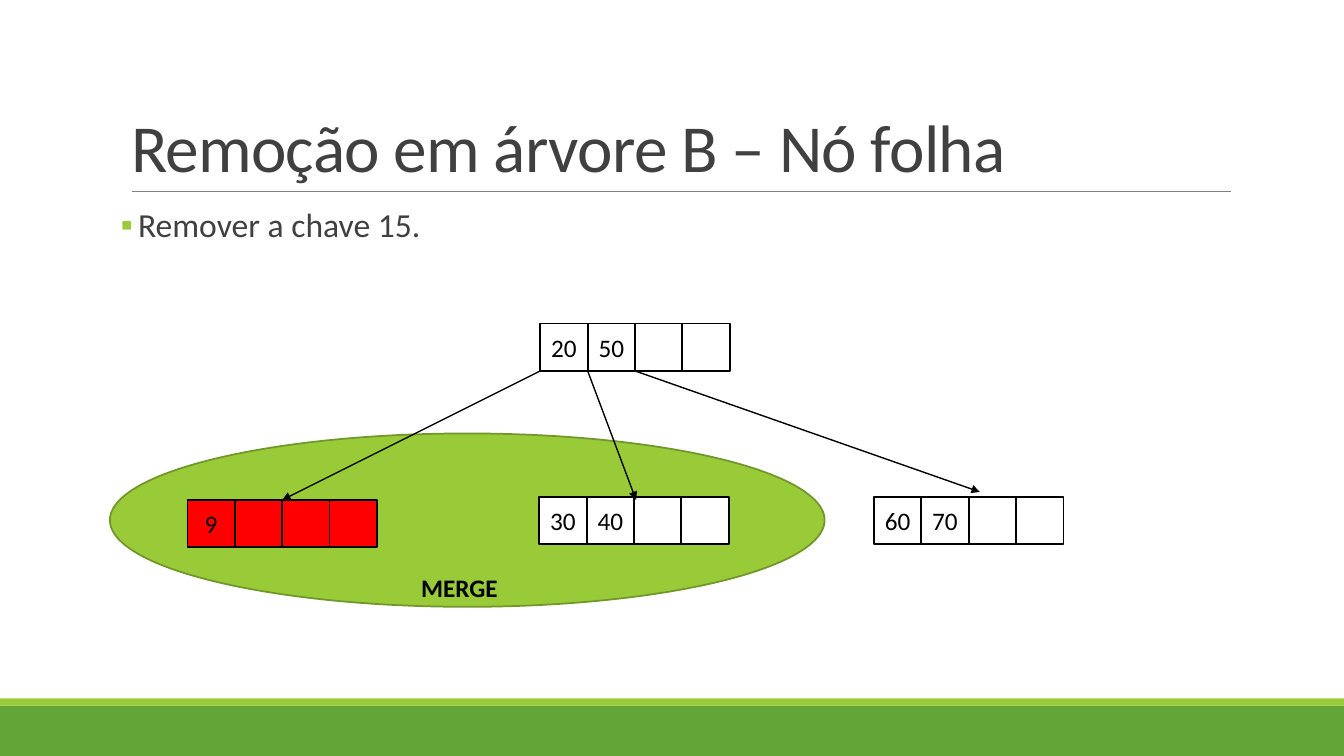
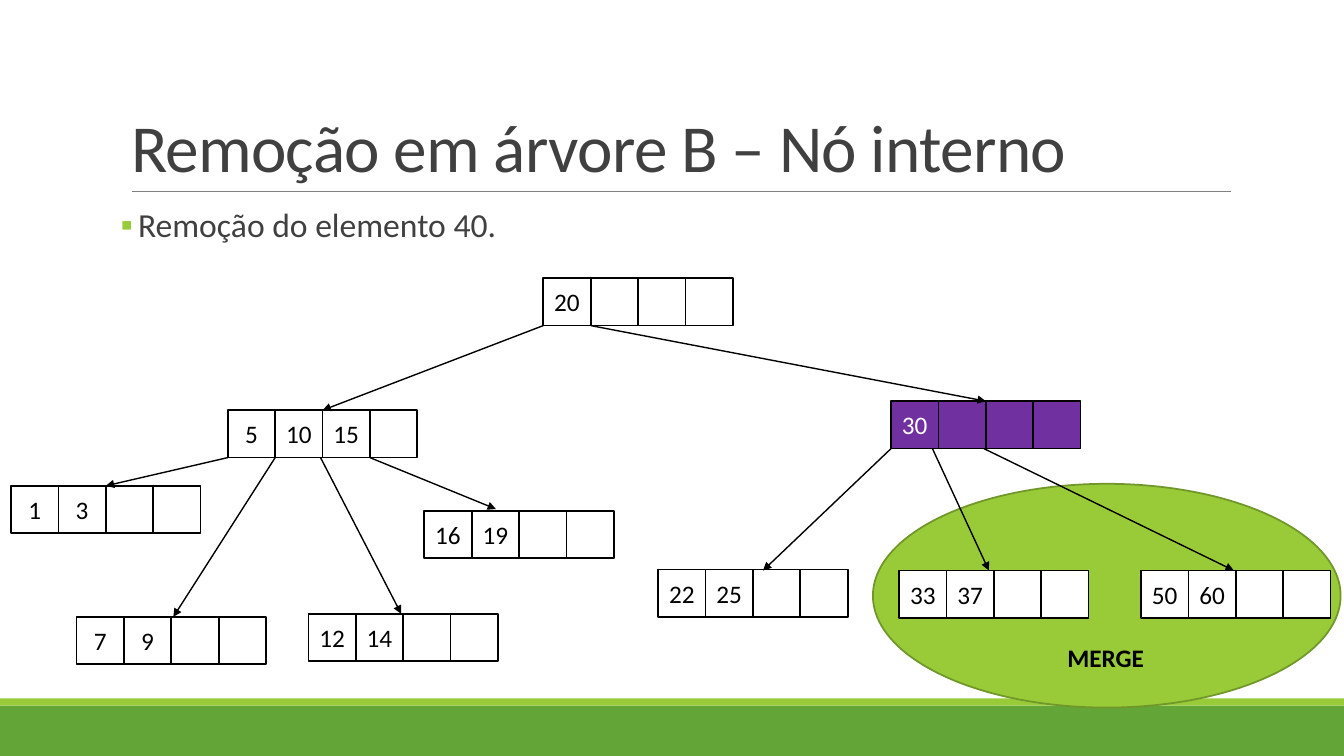
from dataclasses import dataclass

from lxml.etree import SubElement as Sub
from pptx import Presentation
from pptx.dml.color import RGBColor as Rgb
from pptx.enum.shapes import MSO_CONNECTOR as Conn, MSO_SHAPE as Kind
from pptx.enum.text import MSO_ANCHOR as Anchor, MSO_AUTO_SIZE as Fit, PP_ALIGN as Align
from pptx.oxml.ns import qn
from pptx.util import Emu, Inches, Pt

# Grid: one unit is a tenth of an inch
UNIT = Inches(0.1)
WIDE, HIGH = 133.33, 75
CELL, SLOTS = 4.7, 4

# Shared look
FONT = "Calibri"
BLACK, WHITE, GREY, RULE = "000000", "FFFFFF", "404040", "808080"
LIME, OLIVE, GREEN = "99CB38", "719629", "63A537"
RED, PURPLE = "FF0000", "7030A0"


@dataclass(frozen=True)
class Node:
    """A tree node; tip and tail shift the ends of the arrow from its parent."""
    col: float
    row: float
    keys: tuple[int, ...]
    kids: tuple["Node", ...] = ()
    fill: str = WHITE
    ink: str = BLACK
    tip: tuple[float, float] = (0, 0)
    tail: float = 0


@dataclass(frozen=True)
class Page:
    title: str
    task: str
    oval: tuple[float, float, float, float]
    label: tuple[float, float]
    root: Node


def grid(*units: float) -> list[Emu]:
    return [Emu(round(n * UNIT)) for n in units]


def tint(text: str) -> Rgb:
    return Rgb.from_string(text)


def style(para, size: float, ink: str, bold: bool = False) -> None:
    font = para.font
    font.name, font.size, font.bold = FONT, Pt(size), bold
    font.color.rgb = tint(ink)


def block(shapes, kind, box, fill: str, edge: str | None = None):
    shape = shapes.add_shape(kind, *grid(*box))
    shape.shadow.inherit = False
    shape.fill.solid()
    shape.fill.fore_color.rgb = tint(fill)
    if edge:
        shape.line.color.rgb = tint(edge)
        shape.line.width = Pt(1.25)
    else:
        shape.line.fill.background()
    return shape


def stroke(shapes, start, end, ink: str, width: float, arrow: bool = False):
    line = shapes.add_connector(Conn.STRAIGHT, *grid(*start, *end))
    line.line.color.rgb = tint(ink)
    line.line.width = Pt(width)
    if arrow:
        Sub(line.line._get_or_add_ln(), qn("a:tailEnd"), type="triangle")
    Sub(line.element.spPr, qn("a:effectLst"))
    return line


# Layout: placeholder places, bands and title rule
def place(layout) -> None:
    for holder in list(layout.placeholders):
        kind = holder.placeholder_format.idx
        if kind > 1:
            holder.element.getparent().remove(holder.element)
            continue
        box = (12, 20.2, 110, 44) if kind else (12, 3.1, 110, 15.9)
        holder.left, holder.top, holder.width, holder.height = grid(*box)


def frame(slide, layout) -> None:
    parts = (
        block(slide.shapes, Kind.RECTANGLE, (0, 70, WIDE, 5), GREEN),
        block(slide.shapes, Kind.RECTANGLE, (0, 69.3, WIDE, 0.7), LIME),
        stroke(slide.shapes, (13.1, 19), (122.1, 19), RULE, 0.5),
    )
    for part in parts:
        layout.shapes.element.append(part.element)


# Title and task line
def head(slide, text: str) -> None:
    box = slide.shapes.title.text_frame
    box.text = text
    box.vertical_anchor, box.auto_size = Anchor.BOTTOM, Fit.NONE
    para = box.paragraphs[0]
    para.alignment, para.line_spacing = Align.LEFT, 0.85
    style(para, 48, GREY)
    para.runs[0].font._element.set("spc", "-50")


def task(slide, text: str) -> None:
    box = slide.placeholders[1].text_frame
    box.text = text
    box.auto_size = Fit.NONE
    box.margin_left = box.margin_right = 0
    para = box.paragraphs[0]
    props = para._p.get_or_add_pPr()
    dent = Inches(0.17)
    props.set("marL", str(dent))
    props.set("indent", str(-dent))
    Sub(Sub(props, qn("a:buClr")), qn("a:srgbClr"), val=LIME)
    Sub(props, qn("a:buFont"), typeface=FONT)
    Sub(props, qn("a:buChar"), char="▪")
    para.line_spacing, para.space_before, para.space_after = 0.9, Pt(0), Pt(2)
    style(para, 24, GREY)


# Tree: a row of cells per node, then arrows to its children
def cells(slide, node: Node) -> None:
    group = slide.shapes.add_group_shape()
    for slot in range(SLOTS):
        box = (node.col + slot * CELL, node.row, CELL, CELL)
        cell = block(group.shapes, Kind.RECTANGLE, box, node.fill, BLACK)
        if slot < len(node.keys):
            text = cell.text_frame
            text.text = str(node.keys[slot])
            text.word_wrap, text.vertical_anchor = False, Anchor.MIDDLE
            text.margin_left = text.margin_right = 0
            para = text.paragraphs[0]
            para.alignment = Align.CENTER
            style(para, 18, node.ink)


def tree(slide, node: Node) -> None:
    cells(slide, node)
    for slot, kid in enumerate(node.kids):
        tree(slide, kid)
        start = (node.col + slot * CELL + kid.tail, node.row + CELL)
        end = (kid.col + SLOTS / 2 * CELL + kid.tip[0], kid.row + kid.tip[1])
        stroke(slide.shapes, start, end, BLACK, 1, arrow=True)


def merge(slide, col: float, row: float) -> None:
    box = slide.shapes.add_textbox(*grid(col, row, 9.7, 4)).text_frame
    box.word_wrap = False
    box.text = "MERGE"
    style(box.paragraphs[0], 18, BLACK, bold=True)


LEAF = Node(53.6, 32.1, (20, 50), (
    Node(18.6, 49.6, (9,), fill=RED),
    Node(53.5, 49.3, (30, 40), tip=(0.2, 0.3)),
    Node(86.7, 49.3, (60, 70), tip=(1.1, -0.5)),
))
LEFT = Node(22.6, 40.7, (5, 10, 15), (
    Node(1.1, 48.2, (1, 3)),
    Node(7.6, 61.2, (7, 9), tip=(0.2, 0)),
    Node(30.6, 60.9, (12, 14), tip=(-0.2, 0), tail=-0.2),
    Node(42.1, 50.7, (16, 19), tip=(-2.3, -0.2)),
))
RIGHT = Node(88.4, 39.8, (30,), (
    Node(65.3, 56.5, (22, 25), tip=(1, 0.1)),
    Node(89.2, 56.6, (33, 37), tip=(-0.5, 0), tail=-0.6),
    Node(113.2, 56.6, (50, 60), tip=(-0.2, 0), tail=-0.2),
), PURPLE, WHITE)
INNER = Node(53.9, 27.6, (20,), (LEFT, RIGHT))

PAGES = (
    Page("Remoção em árvore B – Nó folha", "Remover a chave 15.",
         (10.9, 43, 70.9, 17.2), (40.8, 56.3), LEAF),
    Page("Remoção em árvore B – Nó interno", "Remoção do elemento 40.",
         (86.6, 48, 46.4, 22.2), (104.9, 63.2), INNER),
)


def main() -> None:
    deck = Presentation()
    deck.slide_width, deck.slide_height = grid(WIDE, HIGH)
    layout = deck.slide_layouts[1]
    place(layout)
    for count, page in enumerate(PAGES):
        slide = deck.slides.add_slide(layout)
        if count == 0:
            frame(slide, layout)
        head(slide, page.title)
        task(slide, page.task)
        block(slide.shapes, Kind.OVAL, page.oval, LIME, OLIVE)
        tree(slide, page.root)
        merge(slide, *page.label)
    deck.save("out.pptx")


if __name__ == "__main__":
    main()
